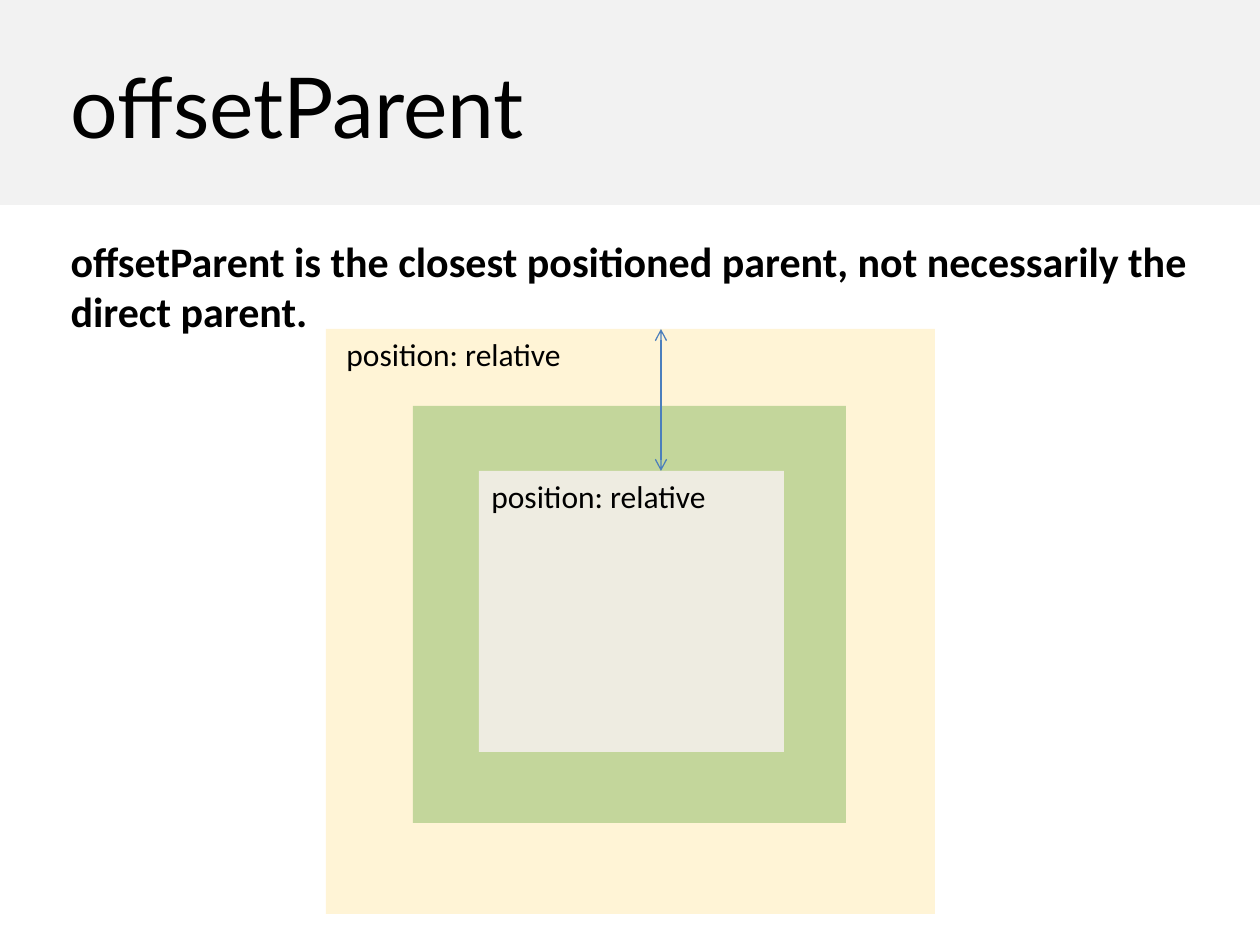
from lxml import etree
from pptx import Presentation
from pptx.dml.color import RGBColor
from pptx.enum.shapes import MSO_CONNECTOR, MSO_SHAPE
from pptx.enum.text import MSO_ANCHOR, MSO_AUTO_SIZE, PP_ALIGN
from pptx.oxml.ns import qn
from pptx.util import Emu, Pt

RECT, STRAIGHT = MSO_SHAPE.RECTANGLE, MSO_CONNECTOR.STRAIGHT
TOP, LEFT, NO_FIT = MSO_ANCHOR.TOP, PP_ALIGN.LEFT, MSO_AUTO_SIZE.NONE

BLACK = RGBColor(0x00, 0x00, 0x00)
BAND_GRAY = RGBColor(0xF2, 0xF2, 0xF2)
AMBER = RGBColor(0xFF, 0xC0, 0x00)
GREEN = RGBColor(0xC3, 0xD6, 0x9B)
CREAM = RGBColor(0xEE, 0xEC, 0xE1)
ARROW_BLUE = RGBColor(0x4B, 0x7E, 0xBC)

# Content, lengths in pixels
PX = 914400 // 126
TITLE = "offsetParent"
STATEMENT = ("offsetParent is the closest positioned parent, "
             "not necessarily the direct parent.")
POSITION = "position: relative"
TITLE_BOX = (58, 48, 1153, 105)
STATEMENT_BOX = (58, 229, 1153, 115)
BAND_BOX = (0, 0, 1260, 205)
OUTER_BOX = (326, 329, 609, 585)
MIDDLE_BOX = (413, 406, 433, 417)
INNER_BOX = (479, 471, 305, 281)
OUTER_LABEL_BOX = (334, 329, 284, 50)
OFFSET_X = 661
OUTER_ALPHA = 16


def emu(box):
    return [Emu(length * PX) for length in box]


def place(shape, box):
    shape.left, shape.top, shape.width, shape.height = emu(box)


def write(shape, text, size, font="Calibri", bold=False, wrap=True):
    frame = shape.text_frame
    frame.text = text
    frame.word_wrap = wrap
    frame.auto_size = NO_FIT
    frame.vertical_anchor = TOP
    paragraph = frame.paragraphs[0]
    paragraph.alignment = LEFT
    paragraph.space_before = Pt(0)
    paragraph.font.name = font
    paragraph.font.size = Pt(size)
    paragraph.font.bold = bold
    paragraph.font.color.rgb = BLACK
    return paragraph


def add_box(box, color):
    shape = slide.shapes.add_shape(RECT, *emu(box))
    shape.shadow.inherit = False
    shape.fill.solid()
    shape.fill.fore_color.rgb = color
    shape.line.fill.background()
    return shape


prs = Presentation()
prs.slide_width, prs.slide_height = emu((1260, 945))
slide = prs.slides.add_slide(prs.slide_layouts[1])

# Title on a gray band, which lies behind it
band = add_box(BAND_BOX, BAND_GRAY)
slide.shapes.title.element.addprevious(band.element)
title = slide.shapes.title
place(title, TITLE_BOX)
write(title, TITLE, 48, font="Lato", wrap=False)

# Statement without a bullet
statement = slide.placeholders[1]
place(statement, STATEMENT_BOX)
properties = write(statement, STATEMENT, 24, bold=True)._p.get_or_add_pPr()
properties.set("marL", "0")
properties.set("indent", "0")
bullet_none = etree.Element(qn("a:buNone"))
properties.find(qn("a:spcBef")).addnext(bullet_none)

# Nested boxes
outer = add_box(OUTER_BOX, AMBER)
outer_color = outer.element.spPr.find(".//" + qn("a:srgbClr"))
etree.SubElement(outer_color, qn("a:alpha"), val=str(OUTER_ALPHA * 1000))
add_box(MIDDLE_BOX, GREEN)
inner = add_box(INNER_BOX, CREAM)
outer_label = slide.shapes.add_textbox(*emu(OUTER_LABEL_BOX))
for labelled in (inner, outer_label):
    write(labelled, POSITION, 18)

# Offset arrow from the outer top edge to the inner top edge
offset = slide.shapes.add_connector(
    STRAIGHT, *emu((OFFSET_X, OUTER_BOX[1], OFFSET_X, INNER_BOX[1])))
offset.line.color.rgb = ARROW_BLUE
offset.line.width = Pt(0.75)
for end in ("a:headEnd", "a:tailEnd"):
    etree.SubElement(offset.line._get_or_add_ln(), qn(end), type="arrow")
etree.SubElement(offset.element.spPr, qn("a:effectLst"))

prs.save("out.pptx")
